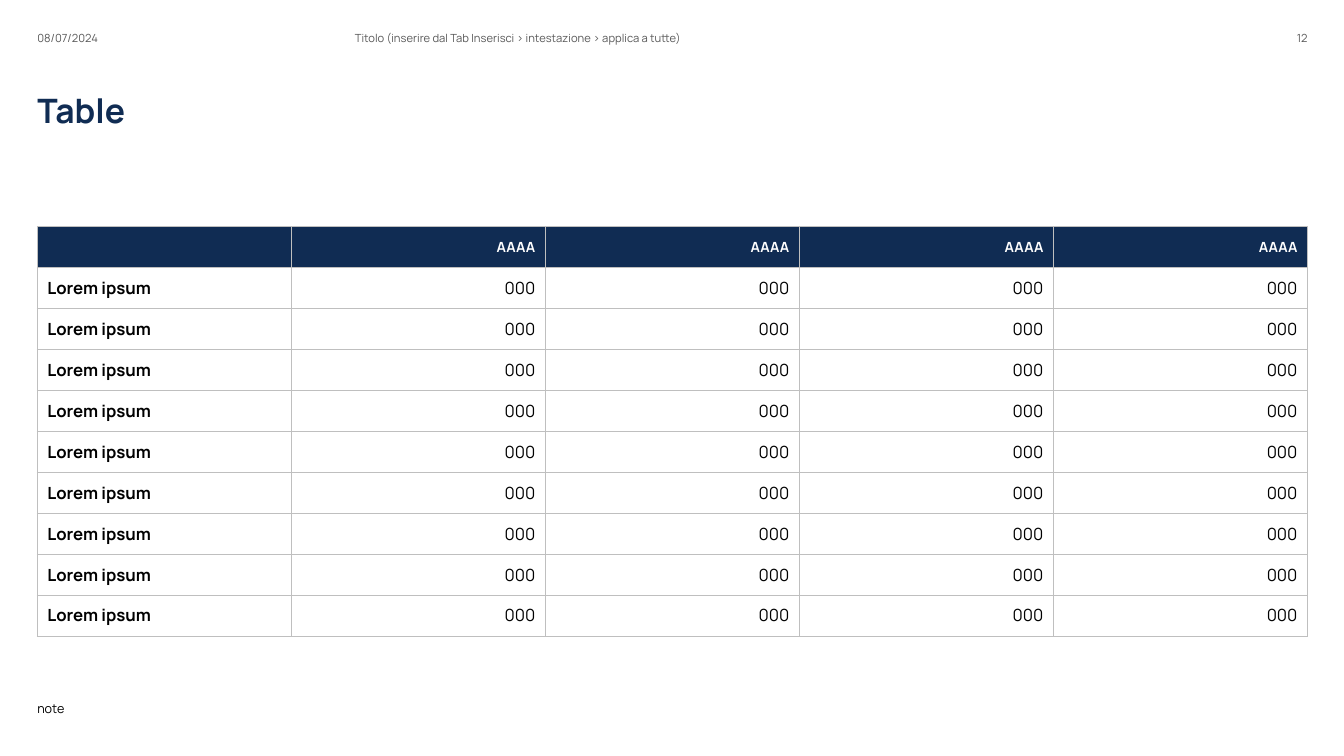
from lxml.etree import SubElement
from pptx import Presentation
from pptx.dml.color import RGBColor
from pptx.enum.text import MSO_ANCHOR, MSO_AUTO_SIZE, PP_ALIGN
from pptx.oxml.ns import qn
from pptx.util import Inches, Pt

NAVY = RGBColor(0x10, 0x2C, 0x53)
WHITE = RGBColor(0xFF, 0xFF, 0xFF)
BLACK = RGBColor(0, 0, 0)
GREY = RGBColor(0x59, 0x59, 0x59)
BORDER = RGBColor(0xBF, 0xBF, 0xBF)
FONT = "Manrope"

SLIDE_W, SLIDE_H = 13.33, 7.5
MARGIN, CONTENT_W = 0.37, 12.6
HEADER = ["", "AAAA", "AAAA", "AAAA", "AAAA"]
BODY_ROWS = [["Lorem ipsum"] + ["000"] * 4] * 9


def place(sp, box):
    sp.left, sp.top, sp.width, sp.height = [Inches(v) for v in box]


def add_run(p, text, size, color, bold=False):
    r = p.add_run()
    r.text = text
    r.font.name, r.font.size, r.font.bold = FONT, Pt(size), bold
    r.font.color.rgb = color


def fill_text(sp, text, size, color, bold=False, anchor=MSO_ANCHOR.BOTTOM,
              align=PP_ALIGN.LEFT, spacing=1.0):
    """Write one line into a shape without insets."""
    tf = sp.text_frame
    tf.word_wrap = True
    tf.auto_size = MSO_AUTO_SIZE.NONE
    tf.vertical_anchor = anchor
    tf.margin_left = tf.margin_right = tf.margin_top = tf.margin_bottom = 0
    p = tf.paragraphs[0]
    p.alignment, p.line_spacing, p.space_before = align, spacing, Pt(0)
    add_run(p, text, size, color, bold)
    return p


def add_page_header(s, box):
    """Date, running title and page number along the top."""
    x, y, w, h = box
    parts = [
        ("08/07/2024", 0, 2.61, PP_ALIGN.LEFT),
        ("Titolo (inserire dal Tab Inserisci > intestazione > applica a tutte)",
         w / 4, 4.5, PP_ALIGN.LEFT),
        ("12", w - 1.14, 1.14, PP_ALIGN.RIGHT),
    ]
    for text, dx, width, align in parts:
        sp = s.shapes.add_textbox(0, 0, 0, 0)
        place(sp, (x + dx, y, width, h))
        fill_text(sp, text, 8, GREY, align=align)


def add_title(s, box):
    place(s.shapes.title, box)
    fill_text(s.shapes.title, "Table", 24, NAVY, True, MSO_ANCHOR.TOP)


def add_note(s, box):
    """Footnote in the body placeholder, without a bullet."""
    sp = s.placeholders[1]
    place(sp, box)
    p = fill_text(sp, "note", 9, BLACK, spacing=1.2)
    pPr = p._p.get_or_add_pPr()
    pPr.set("marL", "0")
    pPr.set("indent", "0")
    SubElement(pPr, qn("a:buNone"))


def set_borders(cell):
    tcPr = cell._tc.get_or_add_tcPr()
    for side in ("lnL", "lnR", "lnT", "lnB"):
        ln = SubElement(tcPr, qn(f"a:{side}"), w=str(Pt(0.5)))
        fill = SubElement(ln, qn("a:solidFill"))
        SubElement(fill, qn("a:srgbClr"), val=str(BORDER))


def add_data_table(s, box):
    rows = [HEADER] + BODY_ROWS
    frame = s.shapes.add_table(len(rows), len(HEADER), *[Inches(v) for v in box])
    table = frame.table
    table.horz_banding = False
    for i, values in enumerate(rows):
        is_header = i == 0
        for j, text in enumerate(values):
            cell = table.cell(i, j)
            set_borders(cell)
            cell.fill.solid()
            cell.fill.fore_color.rgb = NAVY if is_header else WHITE
            cell.vertical_anchor = MSO_ANCHOR.MIDDLE
            p = cell.text_frame.paragraphs[0]
            p.alignment = PP_ALIGN.RIGHT if j else PP_ALIGN.LEFT
            if text:
                add_run(p, text, 10 if is_header else 12,
                        WHITE if is_header else BLACK, is_header or j == 0)


def main():
    prs = Presentation()
    prs.slide_width, prs.slide_height = Inches(SLIDE_W), Inches(SLIDE_H)
    s = prs.slides.add_slide(prs.slide_layouts[1])
    add_title(s, (MARGIN, 0.89, CONTENT_W, 0.92))
    add_data_table(s, (MARGIN, 2.25, CONTENT_W, 4.06))
    add_page_header(s, (MARGIN, 0.04, CONTENT_W, 0.4))
    add_note(s, (MARGIN, 6.79, CONTENT_W, 0.31))
    prs.save("out.pptx")


if __name__ == "__main__":
    main()
